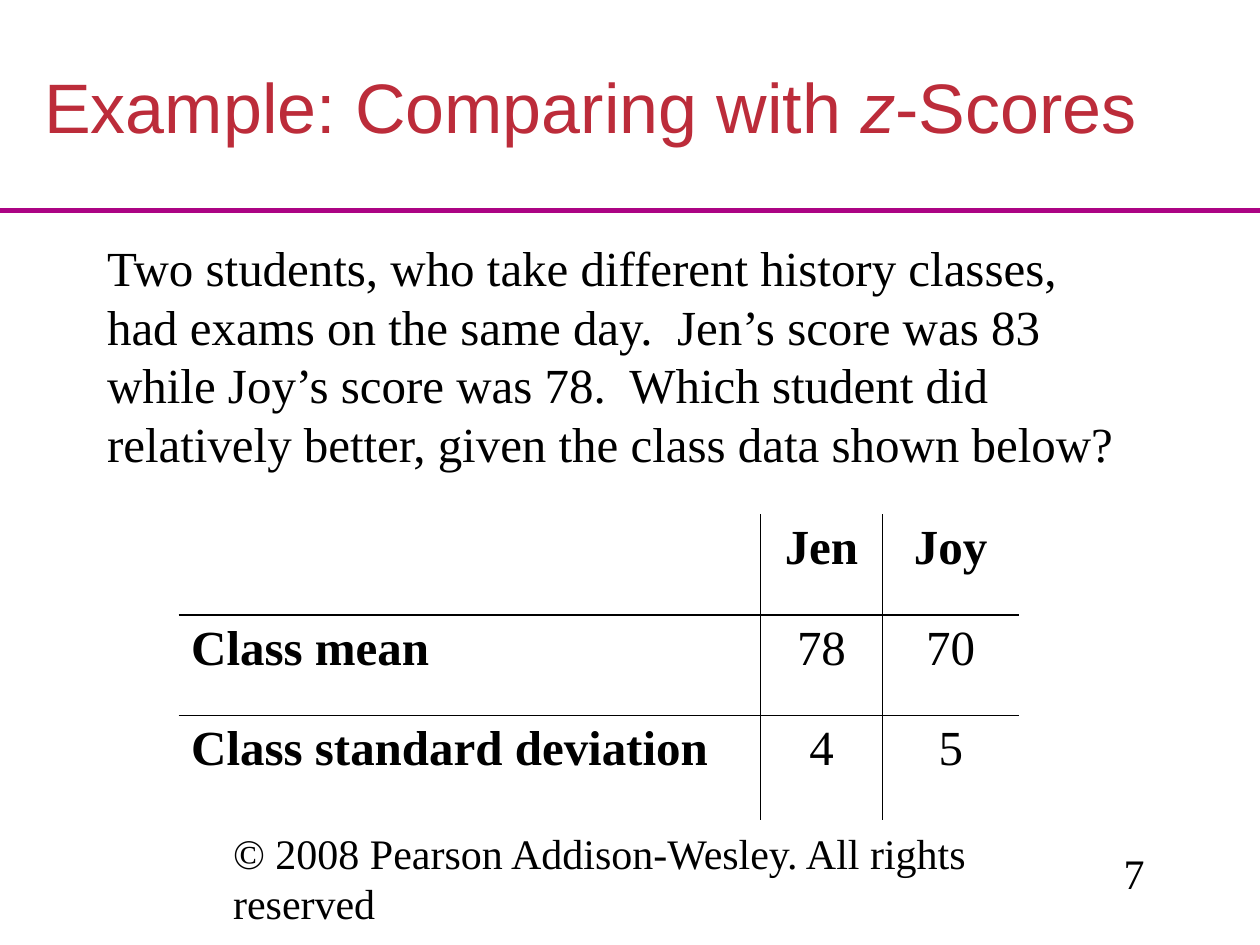
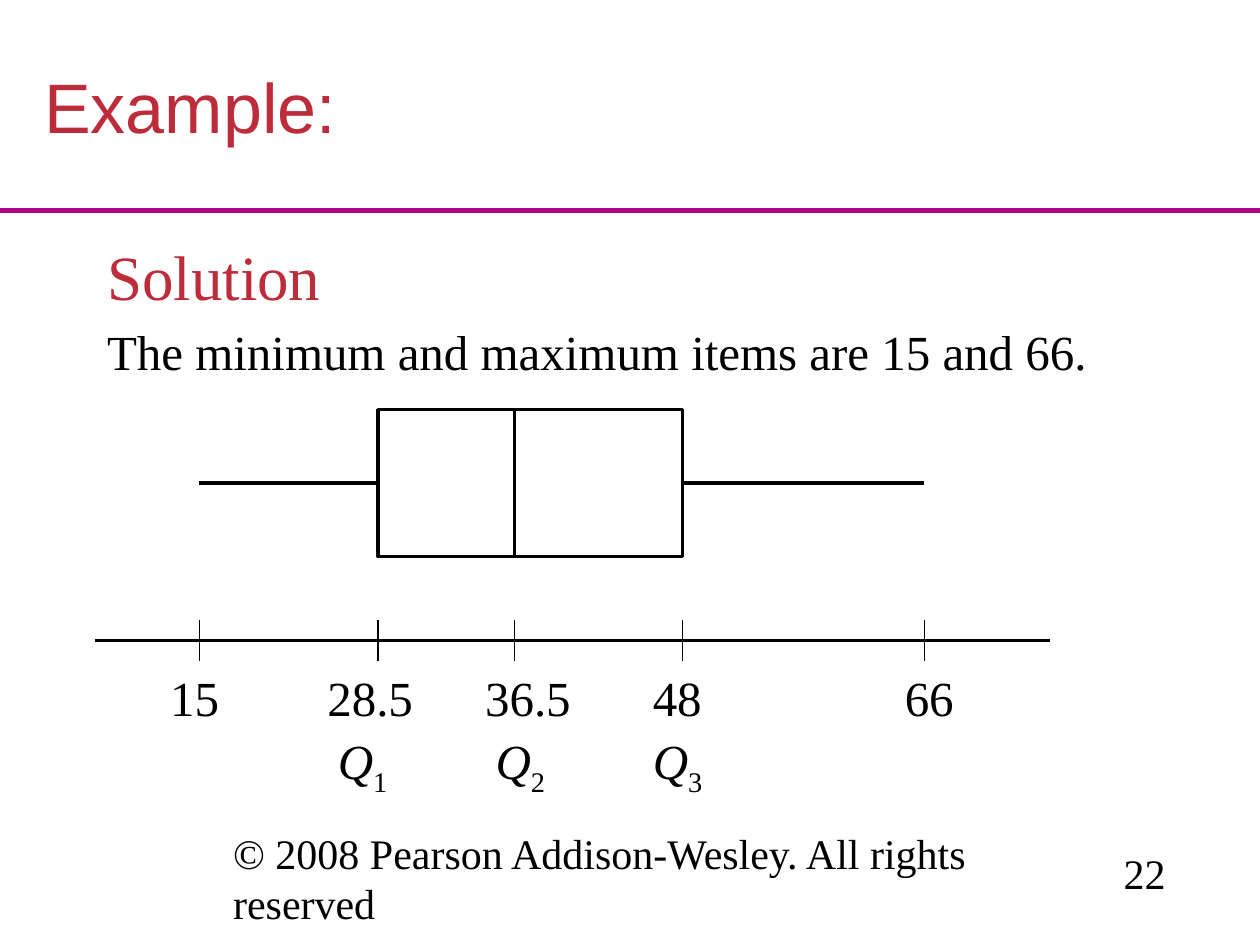
"""Build two statistics slides: a z-score comparison and a box plot."""
from lxml import etree
from pptx import Presentation
from pptx import util as u
from pptx.dml.color import RGBColor
from pptx.enum import shapes, text
from pptx.oxml.ns import qn

COLORS = {"title": "BC2C3A", "rule": "AC0484", "ink": "000000"}
BODY_FONT = "Times New Roman"
TITLE_FONT = "Arial"
COPYRIGHT = "© 2008 Pearson Addison-Wesley. All rights reserved"
QUESTION = (
    "Two students, who take different history classes, had exams on the same day.  "
    "Jen’s score was 83 while Joy’s score was 78.  "
    "Which student did relatively better, given the class data shown below?"
)


def write(text_frame, parts, size=28, color="ink", font=BODY_FONT):
    text_frame.word_wrap = True
    paragraph = text_frame.paragraphs[0]
    for content, style in parts:
        run = paragraph.add_run()
        run.text = content
        run.font.size = u.Pt(size)
        run.font.name = font
        run.font.bold = style == "bold"
        run.font.italic = style == "italic"
        run.font.color.rgb = RGBColor.from_string(COLORS[color])
        if style == "subscript":
            run._r.get_or_add_rPr().set("baseline", "-25000")
    return paragraph


def draw_line(slide, start, end, width=2, color="ink"):
    points = [u.Cm(value) for value in (*start, *end)]
    line = slide.shapes.add_connector(shapes.MSO_CONNECTOR.STRAIGHT, *points)
    line.line.color.rgb = RGBColor.from_string(COLORS[color])
    line.line.width = u.Pt(width)
    etree.SubElement(line._element.spPr, qn("a:effectLst"))


presentation = Presentation()
presentation.slide_width = u.Cm(25.4)
presentation.slide_height = u.Cm(19.05)
title_layout = presentation.slide_layouts[5]

slide_heads = [
    ("7", [("Example: Comparing with ", ""), ("z", "italic"), ("-Scores", "")]),
    ("22", [("Example:", "")]),
]
for number, title_parts in slide_heads:
    slide = presentation.slides.add_slide(title_layout)
    draw_line(slide, (0, 4.24), (25.4, 4.24), 3, "rule")

    title = slide.shapes.title
    title.left, title.top = u.Cm(0.64), u.Cm(1.06)
    title.width, title.height = u.Cm(23.92), u.Cm(2.33)
    title.text_frame.auto_size = text.MSO_AUTO_SIZE.NONE
    title.text_frame.vertical_anchor = text.MSO_ANCHOR.MIDDLE
    paragraph = write(title.text_frame, title_parts, 40, "title", TITLE_FONT)
    paragraph.alignment = text.PP_ALIGN.LEFT
    paragraph.line_spacing = 0.9

    for content, left, top, width in [(COPYRIGHT, 4.45, 17.57, 15.66), (number, 22.4, 16.96, 2.54)]:
        footer = slide.shapes.add_textbox(u.Cm(left), u.Cm(top), u.Cm(width), u.Cm(1.27))
        footer.text_frame.vertical_anchor = text.MSO_ANCHOR.BOTTOM
        write(footer.text_frame, [(content, "")], 24)

comparison_slide, box_plot_slide = presentation.slides

class_data = [
    ("", "Jen", "Joy"),
    ("Class mean", "78", "70"),
    ("Class standard deviation", "4", "5"),
]
column_widths = [11.73, 2.46, 2.75]
row_heights = [2.03, 2.03, 2.11]
table = comparison_slide.shapes.add_table(
    3, 3, u.Cm(3.6), u.Cm(10.37), u.Cm(sum(column_widths)), u.Cm(sum(row_heights))
).table
table.first_row = table.horz_banding = False
for column, width in zip(table.columns, column_widths):
    column.width = u.Cm(width)
for row, height in zip(table.rows, row_heights):
    row.height = u.Cm(height)

for row_index, row_values in enumerate(class_data):
    for column_index, value in enumerate(row_values):
        cell = table.cell(row_index, column_index)
        inner_sides = {
            "L": column_index > 0,
            "R": column_index < 2,
            "T": row_index > 0,
            "B": row_index < 2,
        }
        properties = cell._tc.get_or_add_tcPr()
        for side, is_inner in inner_sides.items():
            border = etree.SubElement(properties, qn(f"a:ln{side}"), w="12700")
            if is_inner:
                fill = etree.SubElement(border, qn("a:solidFill"))
                etree.SubElement(fill, qn("a:srgbClr"), val=COLORS["ink"])
            else:
                etree.SubElement(border, qn("a:noFill"))
        cell.fill.background()
        if value:
            is_heading = row_index == 0 or column_index == 0
            paragraph = write(cell.text_frame, [(value, "bold" if is_heading else "")])
            if column_index > 0:
                paragraph.alignment = text.PP_ALIGN.CENTER

tick_marks = [
    ("15", 4.02, 3.18, 3.38),
    ("28.5", 7.62, 6.35, 3.38),
    ("36.5", 10.37, 9.53, 3.38),
    ("48", 13.76, 12.91, 3.38),
    ("66", 18.63, 17.99, 2.11),
]
minimum, lower, median, upper, maximum = [mark[1] for mark in tick_marks]
box_top, box_bottom, whisker_y, axis_y = 8.26, 11.22, 9.74, 12.91

box = box_plot_slide.shapes.add_shape(
    shapes.MSO_SHAPE.RECTANGLE,
    u.Cm(lower), u.Cm(box_top), u.Cm(upper - lower), u.Cm(box_bottom - box_top),
)
box.shadow.inherit = False
box.fill.background()
box.line.color.rgb = RGBColor.from_string(COLORS["ink"])
box.line.width = u.Pt(2)

draw_line(box_plot_slide, (median, box_top), (median, box_bottom))
draw_line(box_plot_slide, (minimum, whisker_y), (lower, whisker_y))
draw_line(box_plot_slide, (upper, whisker_y), (maximum, whisker_y))
draw_line(box_plot_slide, (1.91, axis_y), (21.17, axis_y))

text_boxes = [
    (comparison_slide, 1.91, 4.66, 20.96, 5, [(QUESTION, "")], 28, "ink"),
    (box_plot_slide, 1.91, 4.66, 10.8, 1.78, [("Solution", "")], 36, "title"),
    (box_plot_slide, 1.91, 6.35, 20.53, 1.45,
     [("The minimum and maximum items are 15 and 66.", "")], 28, "ink"),
]
for value, x, left, width in tick_marks:
    draw_line(box_plot_slide, (x, axis_y - 0.42), (x, axis_y + 0.42), 0.75)
    text_boxes.append((box_plot_slide, left, 13.34, width, 1.45, [(value, "")], 28, "ink"))
for quartile, left in enumerate([6.56, 9.74, 12.91], start=1):
    parts = [("Q", "italic"), (str(quartile), "subscript")]
    text_boxes.append((box_plot_slide, left, 14.61, 2.11, 1.45, parts, 28, "ink"))

for slide, left, top, width, height, parts, size, color in text_boxes:
    shape = slide.shapes.add_textbox(u.Cm(left), u.Cm(top), u.Cm(width), u.Cm(height))
    write(shape.text_frame, parts, size, color)

presentation.save("out.pptx")
